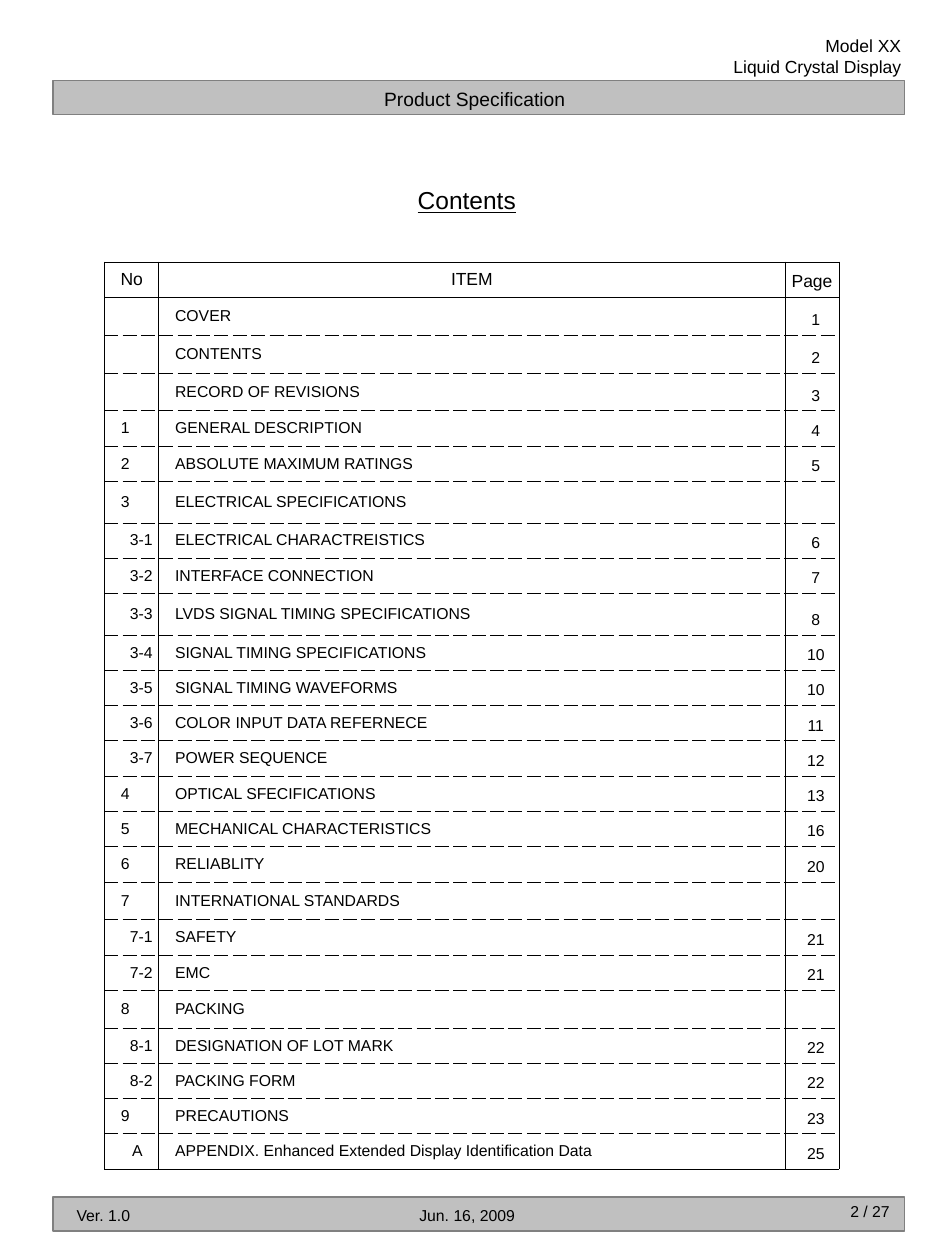
from lxml import etree
from pptx import Presentation
from pptx.dml.color import RGBColor
from pptx.enum import shapes, text
from pptx.oxml import ns
from pptx.util import Inches, Pt

HUES = {"ink": "000000", "bar": "C0C0C0", "edge": "808080"}
LEFT, MID, RIGHT = text.PP_ALIGN.LEFT, text.PP_ALIGN.CENTER, text.PP_ALIGN.RIGHT
TALL, EXTRA = 0.3, 0.33
ROWS = [  # number, item, page, height
    ("", "COVER", "1", TALL),
    ("", "CONTENTS", "2", TALL),
    ("", "RECORD OF REVISIONS", "3", TALL),
    ("1", "GENERAL DESCRIPTION", "4"),
    ("2", "ABSOLUTE MAXIMUM RATINGS", "5"),
    ("3", "ELECTRICAL SPECIFICATIONS", "", EXTRA),
    ("3-1", "ELECTRICAL CHARACTREISTICS", "6"),
    ("3-2", "INTERFACE CONNECTION", "7"),
    ("3-3", "LVDS SIGNAL TIMING SPECIFICATIONS", "8", EXTRA),
    ("3-4", "SIGNAL TIMING SPECIFICATIONS", "10"),
    ("3-5", "SIGNAL TIMING WAVEFORMS", "10"),
    ("3-6", "COLOR INPUT DATA REFERNECE", "11"),
    ("3-7", "POWER SEQUENCE", "12"),
    ("4", "OPTICAL SFECIFICATIONS", "13"),
    ("5", "MECHANICAL CHARACTERISTICS", "16"),
    ("6", "RELIABLITY", "20"),
    ("7", "INTERNATIONAL STANDARDS", "", TALL),
    ("7-1", "SAFETY", "21"),
    ("7-2", "EMC", "21"),
    ("8", "PACKING", "", TALL),
    ("8-1", "DESIGNATION OF LOT MARK", "22"),
    ("8-2", "PACKING FORM", "22"),
    ("9", "PRECAUTIONS", "23"),
    ("A", "APPENDIX. Enhanced Extended Display Identification Data", "25"),
]


def color(name):
    return RGBColor.from_string(HUES[name])


def write(frame, words, size=9, align=LEFT, line=None):
    """Fill a text frame, one paragraph for each line of words."""
    for i, part in enumerate(words.split("\n")):
        para = frame.add_paragraph() if i else frame.paragraphs[0]
        para.alignment = align
        if not part:
            end = etree.SubElement(para._p, ns.qn("a:endParaRPr"))
            end.set("sz", str(size * 100))
            continue
        run = para.add_run()
        run.text = part
        font = run.font
        font.name, font.size, font.bold = "Arial", Pt(size), False
        font.underline = line
        font.color.rgb = color("ink")


def label(slide, box, words, wrap=False, **style):
    frame = slide.shapes.add_textbox(*map(Inches, box)).text_frame
    frame.word_wrap = wrap
    write(frame, words, **style)


def bar(slide, box):
    rect = slide.shapes.add_shape(shapes.MSO_SHAPE.RECTANGLE, *map(Inches, box))
    rect.shadow.inherit = False
    rect.fill.solid()
    rect.fill.fore_color.rgb = color("bar")
    rect.line.color.rgb = color("edge")
    rect.line.width = Pt(0.75)


def header(slide, x, y, w, h):
    bar(slide, (x, y, w, h))
    label(slide, (x + 2.53, y, 1.64, 0.29), "Product Specification", size=11)
    label(slide, (x + 5.3, y - 0.41, 1.53, 0.44),
          "Model XX\nLiquid Crystal Display", size=10, align=RIGHT)


def footer(slide, x, y, w, h):
    bar(slide, (x, y, w, h))
    label(slide, (x + 0.09, y + 0.02, 0.64, 0.25), "Ver. 1.0")
    label(slide, (x + 2.81, y + 0.02, 1.02, 0.25), "Jun. 16, 2009", wrap=True)
    label(slide, (x + 5.18, y - 0.01, 1.56, 0.34), "2 / 27", wrap=True, align=RIGHT)


def heading(slide, *box):
    title = slide.shapes.title
    title.left, title.top, title.width, title.height = map(Inches, box)
    frame = title.text_frame
    frame.auto_size = text.MSO_AUTO_SIZE.NONE
    frame.vertical_anchor = text.MSO_ANCHOR.TOP
    write(frame, "Contents", size=14, align=MID, line=True)


def border(cell, **dashes):
    """Draw the cell's sides, each solid or dashed."""
    props = cell._tc.get_or_add_tcPr()
    for side in "LRTB":
        ln = etree.SubElement(props, ns.qn("a:ln" + side), w=str(Pt(0.45)))
        fill = etree.SubElement(ln, ns.qn("a:solidFill"))
        etree.SubElement(fill, ns.qn("a:srgbClr"), val=HUES["ink"])
        etree.SubElement(ln, ns.qn("a:prstDash"), val=dashes.get(side, "solid"))


def index(slide, x, y, w, side):
    """Draw the contents table with narrow side columns."""
    rows = [("No", "ITEM", "Page"), *ROWS]
    tall = [row[3] if len(row) > 3 else 0.28 for row in rows]
    grid = slide.shapes.add_table(len(rows), 3, *map(Inches, (x, y, w, sum(tall)))).table
    grid.first_row = grid.horz_banding = False
    for col, wide in zip(grid.columns, (side, w - 2 * side, side)):
        col.width = Inches(wide)
    for r, row in enumerate(rows):
        grid.rows[r].height = Inches(tall[r])
        for c, words in enumerate(row[:3]):
            cell = grid.cell(r, c)
            pad = 0.04 if r == 0 else 0.1 if c == 2 else 0.2 if "-" in row[0] and c == 0 else 0.13
            cell.margin_left = Inches(pad)
            cell.margin_right = Inches(0.02 if pad == 0.2 else 0.04)
            cell.vertical_anchor = text.MSO_ANCHOR.BOTTOM if c == 2 else text.MSO_ANCHOR.MIDDLE
            border(cell, T="dash" if r > 1 else "solid",
                   B="dash" if 0 < r < len(rows) - 1 else "solid")
            cell.fill.background()
            write(cell.text_frame, words, size=9 if r else 10,
                  align=MID if r == 0 or c == 2 or words == "A" else LEFT)


def main():
    deck = Presentation()
    deck.slide_width, deck.slide_height = Inches(7.5), Inches(10)
    slide = deck.slides.add_slide(deck.slide_layouts.get_by_name("Title Only"))
    header(slide, 0.42, 0.64, 6.76, 0.27)
    footer(slide, 0.42, 9.5, 6.76, 0.27)
    heading(slide, 2.58, 1.42, 2.25, 0.34)
    index(slide, 0.83, 2.08, 5.83, 0.43)
    deck.save("out.pptx")


if __name__ == "__main__":
    main()
